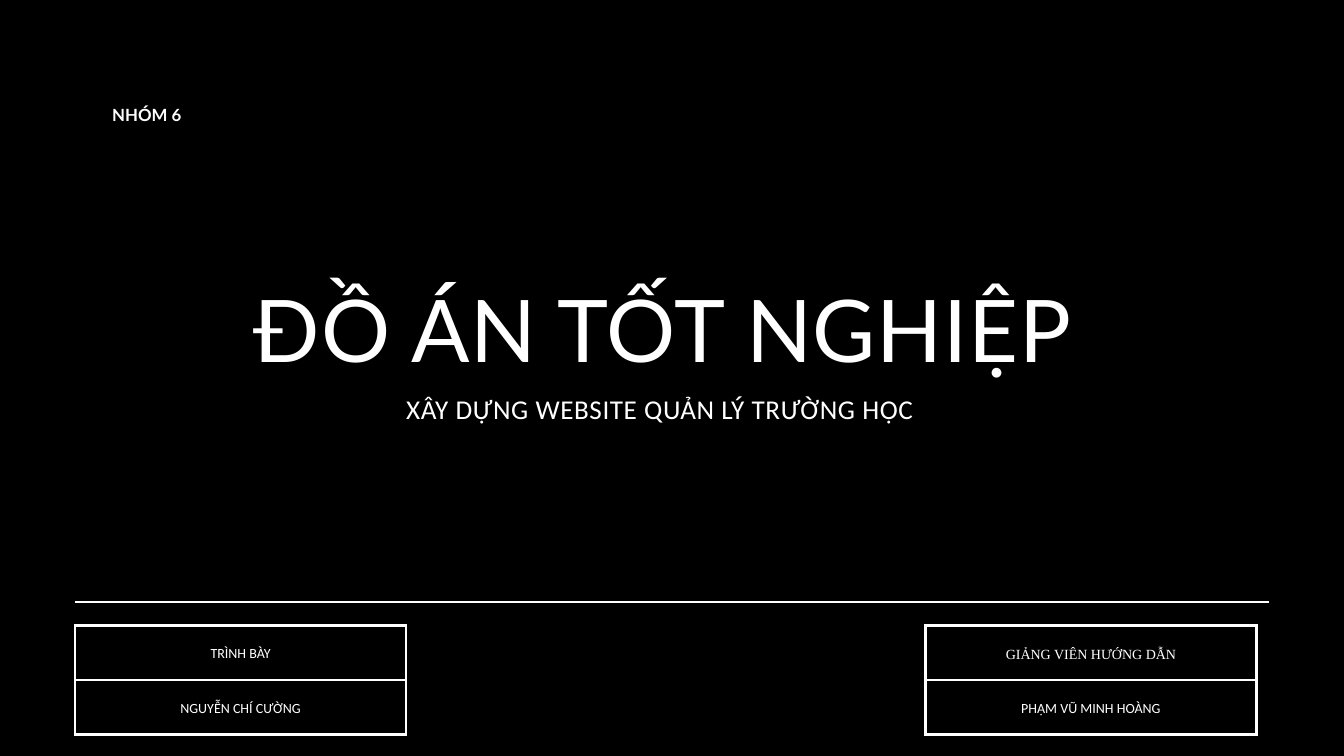
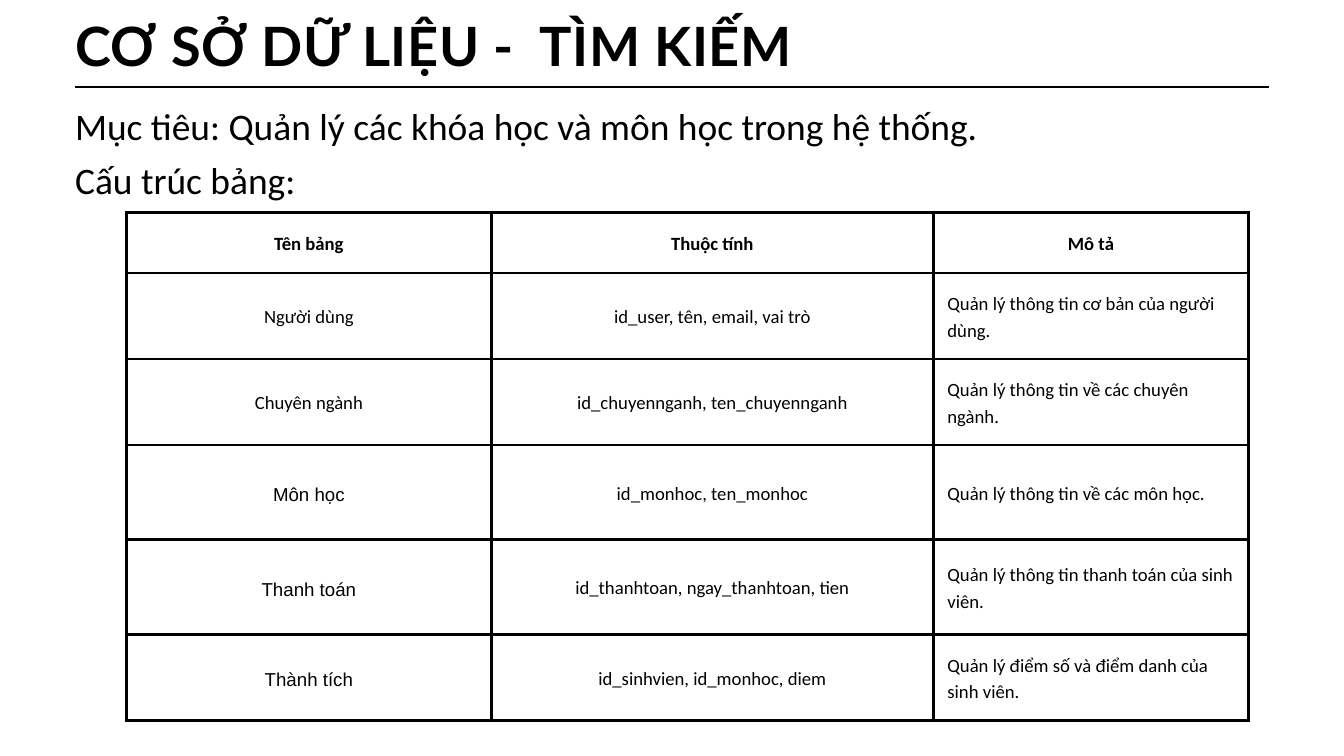
"""Builds the cover and the database slide of a graduation project."""
from lxml import etree
from pptx import Presentation
from pptx.dml.color import RGBColor
from pptx.enum.shapes import MSO_CONNECTOR
from pptx.enum.text import MSO_ANCHOR, MSO_AUTO_SIZE, PP_ALIGN
from pptx.oxml import parse_xml
from pptx.oxml.ns import nsdecls, qn
from pptx.util import Cm, Pt

BLACK, WHITE = "000000", "FFFFFF"
LEFT, RIGHT = 2.84, 47.96
INSET = 0.53
MID, START = PP_ALIGN.CENTER, PP_ALIGN.LEFT
LATO, BODY, TIMES, ARIAL = "Lato", "Calibri", "Times New Roman", "Arial"

# text, box, font, size, line height, bold, letter spacing, alignment
COVER = [
    ("NHÓM 6", (3.76, 3.99, 3.58, 0.79), LATO, 18, 20.5, True, 0, MID),
    ("ĐỒ ÁN TỐT NGHIỆP", (3.76, 10.08, 42.6, 4.11), LATO, 92.6, 121.3, False, 0.9, MID),
    ("XÂY DỰNG WEBSITE QUẢN LÝ TRƯỜNG HỌC", (3.76, 14.88, 42.37, 2.34),
     BODY, 29.1, 33.2, False, 0.6, MID),
]
PEOPLE = [
    (34.98, [("GIẢNG VIÊN HƯỚNG DẪN", TIMES), ("PHẠM VŨ MINH HOÀNG", BODY)]),
    (LEFT, [("TRÌNH BÀY", BODY), ("NGUYỄN CHÍ CƯỜNG", BODY)]),
]
DATA = [
    ("CƠ SỞ DỮ LIỆU -  TÌM KIẾM", (LEFT, 0.61, 45.12, 2.36), LATO, 58, 66.1, True, 0.6, START),
    ("Mục tiêu: Quản lý các khóa học và môn học trong hệ thống.",
     (LEFT, 3.61, 42.01, 1.83), BODY, 40.1, 56.1, False, 0, START),
    ("Cấu trúc bảng:", (LEFT, 5.64, 9.6, 1.88), BODY, 40.1, 56.1, False, 0, START),
]
HEAD = ("Tên bảng", "Thuộc tính", "Mô tả")
ROWS = [
    ("Người dùng", "id_user, tên, email, vai trò",
     "Quản lý thông tin cơ bản của người dùng.", BODY),
    ("Chuyên ngành", "id_chuyennganh, ten_chuyennganh",
     "Quản lý thông tin về các chuyên ngành.", BODY),
    ("Môn học", "id_monhoc, ten_monhoc", "Quản lý thông tin về các môn học.", ARIAL),
    ("Thanh toán", "id_thanhtoan, ngay_thanhtoan, tien",
     "Quản lý thông tin thanh toán của sinh viên.", ARIAL),
    ("Thành tích", "id_sinhvien, id_monhoc, diem",
     "Quản lý điểm số và điểm danh của sinh viên.", ARIAL),
]
WIDTHS = (13.79, 16.71, 11.91)
HEIGHTS = (2.29, 3.25, 3.25, 3.58, 3.58, 3.25)


def color(code):
    return RGBColor.from_string(code)


def write(frame, text, face, size, pitch, ink, bold=False, gap=0, align=MID):
    para = frame.paragraphs[0]
    para.alignment = align
    para.line_spacing = Pt(pitch)
    run = para.add_run()
    run.text = text
    font = run.font
    font.name, font.size, font.bold = face, Pt(size), bold
    font.color.rgb = color(ink)
    if gap:
        run._r.get_or_add_rPr().set("spc", str(round(gap * 100)))


def label(slide, ink, text, box, face, size, pitch, bold, gap, align):
    frame = slide.shapes.add_textbox(*map(Cm, box)).text_frame
    frame.margin_left = frame.margin_right = frame.margin_top = frame.margin_bottom = 0
    frame.word_wrap = True
    frame.auto_size = MSO_AUTO_SIZE.SHAPE_TO_FIT_TEXT
    write(frame, text, face, size, pitch, ink, bold, gap, align)


def rule(slide, top, ink, width):
    line = slide.shapes.add_connector(
        MSO_CONNECTOR.STRAIGHT, Cm(LEFT), Cm(top), Cm(RIGHT), Cm(top))
    line.line.color.rgb = color(ink)
    line.line.width = Pt(width)
    etree.SubElement(line._element.spPr, qn("a:effectLst"))


def border(cell, ink):
    props = cell._tc.get_or_add_tcPr()
    for side in "LRTB":
        props.append(parse_xml(
            f'<a:ln{side} {nsdecls("a")} w="{Pt(3)}"><a:solidFill>'
            f'<a:srgbClr val="{ink}"/></a:solidFill></a:ln{side}>'))


def grid(slide, left, top, widths, heights, ink):
    shape = slide.shapes.add_table(
        len(heights), len(widths), Cm(left), Cm(top), Cm(sum(widths)), Cm(sum(heights)))
    table = shape.table
    table.first_row = table.horz_banding = False
    for col, width in zip(table.columns, widths):
        col.width = Cm(width)
    for row, height in zip(table.rows, heights):
        row.height = Cm(height)
    for cell in table.iter_cells():
        cell.margin_left = cell.margin_right = Cm(INSET)
        cell.margin_top = cell.margin_bottom = Cm(INSET)
        cell.vertical_anchor = MSO_ANCHOR.MIDDLE
        border(cell, ink)
        cell.fill.background()
    return table


def page(deck, back, ink, top, width, labels):
    slide = deck.slides.add_slide(deck.slide_layouts[6])
    fill = slide.background.fill
    fill.solid()
    fill.fore_color.rgb = color(back)
    rule(slide, top, ink, width)
    for item in labels:
        label(slide, ink, *item)
    return slide


def cover(deck):
    slide = page(deck, BLACK, WHITE, 22.76, 3, COVER)
    for left, lines in PEOPLE:
        table = grid(slide, left, 23.65, [4.17] * 3, [2.06] * 2, WHITE)
        for row, (text, face) in enumerate(lines):
            table.cell(row, 0).merge(table.cell(row, 2))
            write(table.cell(row, 0).text_frame, text, face, 15, 21, WHITE)


def schema(deck):
    slide = page(deck, WHITE, BLACK, 3.3, 2.25, DATA)
    table = grid(slide, 4.78, 8.03, WIDTHS, HEIGHTS, BLACK)
    for col, text in enumerate(HEAD):
        write(table.cell(0, col).text_frame, text, BODY, 20, 28, BLACK, bold=True)
    for row, (name, fields, note, face) in enumerate(ROWS, 1):
        cells = ((name, face, MID), (fields, BODY, MID), (note, BODY, START))
        for col, (text, font, align) in enumerate(cells):
            write(table.cell(row, col).text_frame, text, font, 20, 28, BLACK, align=align)


def main():
    deck = Presentation()
    deck.slide_width, deck.slide_height = Cm(50.8), Cm(28.58)
    cover(deck)
    schema(deck)
    deck.save("out.pptx")


if __name__ == "__main__":
    main()
